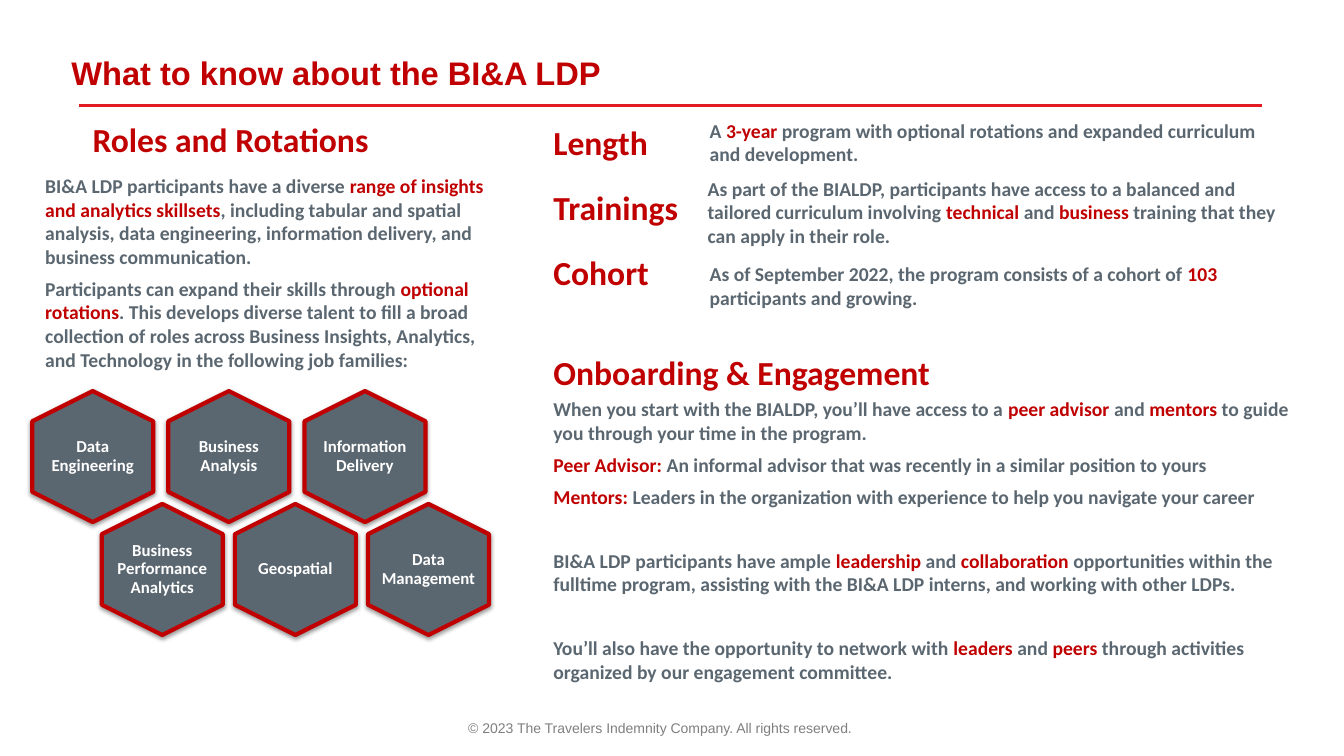
from lxml.etree import SubElement
from pptx import Presentation
from pptx.dml.color import RGBColor
from pptx.enum.shapes import MSO_CONNECTOR
from pptx.enum.text import MSO_ANCHOR, PP_ALIGN
from pptx.oxml.ns import qn
from pptx.util import Pt

PX = 9144
SLIDE = (1333, 750)
RULE = (78, 105, 1252, 105)

THEME = {
    "red": RGBColor(0xC0, 0x00, 0x00),
    "rule": RGBColor(0xE3, 0x1B, 0x23),
    "slate": RGBColor(0x5B, 0x67, 0x70),
    "white": RGBColor(0xFF, 0xFF, 0xFF),
    "grey": RGBColor(0x7F, 0x7F, 0x7F),
    "title": {"size": Pt(23.3), "name": "Arial", "bold": True},
    "heading": {"size": Pt(24), "name": "Calibri", "bold": True},
    "body": {"size": Pt(14), "name": "Calibri", "bold": True},
    "label": {"size": Pt(12), "name": "Calibri", "bold": True},
    "footer": {"size": Pt(10), "name": "Arial", "bold": False},
}
COLOR = {"title": "red", "heading": "red", "body": "slate", "label": "white", "footer": "grey"}
PARA_GAP, BLOCK_GAP = Pt(6), Pt(23)
TOP, BOTTOM = MSO_ANCHOR.TOP, MSO_ANCHOR.BOTTOM

ROLES = [[
    "BI&A LDP participants have a diverse *range of insights and analytics skillsets*, including "
    "tabular and spatial analysis, data engineering, information delivery, and business communication.",
    "Participants can expand their skills through *optional rotations*. This develops diverse talent "
    "to fill a broad collection of roles across Business Insights, Analytics, and Technology in the "
    "following job families:",
]]
ONBOARDING = [
    [
        "When you start with the BIALDP, you’ll have access to a *peer advisor *and *mentors* "
        "to guide you through your time in the program.",
        "*Peer Advisor: *An informal advisor that was recently in a similar position to yours",
        "*Mentors: *Leaders in the organization with experience to help you navigate your career",
    ],
    [
        "BI&A LDP participants have ample *leadership* and *collaboration* opportunities within the "
        "fulltime program, assisting with the BI&A LDP interns, and working with other LDPs.",
    ],
    [
        "You’ll also have the opportunity to network with *leaders* and *peers* through activities "
        "organized by our engagement committee.",
    ],
]
LENGTH = "A *3-year *program with optional rotations and expanded curriculum and development."
TRAININGS = (
    "As part of the BIALDP, participants have access to a balanced and tailored curriculum involving "
    "*technical *and *business* training that they can apply in their role."
)
COHORT = "As of September 2022, the program consists of a cohort of* 103* participants and growing."

TEXTS = [
    ("title", (61, 22, 1192, 74), BOTTOM, [["What to know about the BI&A LDP"]]),
    ("heading", (82, 123, 373, 40), BOTTOM, [["Roles and Rotations"]]),
    ("body", (35, 168, 468, 207), TOP, ROLES),
    ("heading", (539, 116, 120, 50), TOP, [["Length"]]),
    ("body", (694, 113, 585, 57), TOP, [[LENGTH]]),
    ("heading", (539, 192, 152, 38), BOTTOM, [["Trainings"]]),
    ("body", (692, 177, 598, 73), BOTTOM, [[TRAININGS]]),
    ("heading", (539, 245, 120, 50), TOP, [["Cohort"]]),
    ("body", (694, 255, 617, 57), TOP, [[COHORT]]),
    ("heading", (539, 351, 407, 43), BOTTOM, [["Onboarding & Engagement"]]),
    ("body", (539, 393, 751, 290), BOTTOM, ONBOARDING),
    ("footer", (380, 709, 549, 27), TOP, [["© 2023 The Travelers Indemnity Company. All rights reserved."]]),
]
HEX_W, HEX_H, HEX_CUT, HEX_INSET = 120, 130, 30, 10
HEX_ROWS = [
    (32, 388, 135, ["Data Engineering", "Business Analysis", "Information Delivery"]),
    (101, 500, 132, ["Business Performance Analytics", "Geospatial", "Data Management"]),
]


def apply(obj, values):
    for name, value in values.items():
        setattr(obj, name, value)


def write(p, text, style):
    for i, part in enumerate(text.split("*")):
        if part:
            r = p.add_run()
            r.text = part
            apply(r.font, THEME[style])
            r.font.color.rgb = THEME["red" if i % 2 else COLOR[style]]


def add_text(shapes, style, box, anchor, blocks):
    tf = shapes.add_textbox(*(v * PX for v in box)).text_frame
    apply(tf, {"word_wrap": True, "vertical_anchor": anchor})
    lines = [(text, b > 0 and i == 0) for b, block in enumerate(blocks) for i, text in enumerate(block)]
    for n, (text, opens_block) in enumerate(lines):
        p = tf.add_paragraph() if n else tf.paragraphs[0]
        if len(lines) > 1:
            p.space_after = PARA_GAP
        if opens_block:
            p.space_before = BLOCK_GAP
        if style == "footer":
            p.alignment = PP_ALIGN.CENTER
        write(p, text, style)


def add_shadow(sp):
    sp.shadow.inherit = False
    effects = sp.element.spPr.find(qn("a:effectLst"))
    shadow = SubElement(effects, qn("a:outerShdw"), blurRad=str(Pt(3.1)), dist=str(Pt(1.6)),
                        dir="5400000", rotWithShape="0")
    color = SubElement(shadow, qn("a:srgbClr"), val="000000")
    SubElement(color, qn("a:alpha"), val="38000")


def add_hexagon(shapes, x, y, text):
    middle, right, low, bottom = x + HEX_W // 2, x + HEX_W, y + HEX_H - HEX_CUT, y + HEX_H
    fb = shapes.build_freeform(middle, y, scale=PX)
    fb.add_line_segments([(right, y + HEX_CUT), (right, low), (middle, bottom), (x, low), (x, y + HEX_CUT)])
    sp = fb.convert_to_shape()
    sp.fill.solid()
    sp.fill.fore_color.rgb = THEME["slate"]
    sp.line.color.rgb = THEME["red"]
    sp.line.width = Pt(3)
    add_shadow(sp)
    tf = sp.text_frame
    apply(tf, {"word_wrap": True, "vertical_anchor": MSO_ANCHOR.MIDDLE,
               "margin_left": HEX_INSET * PX, "margin_right": HEX_INSET * PX})
    p = tf.paragraphs[0]
    apply(p, {"alignment": PP_ALIGN.CENTER, "line_spacing": 0.9})
    write(p, text, "label")


def main():
    prs = Presentation()
    prs.slide_width, prs.slide_height = (v * PX for v in SLIDE)
    s = prs.slides.add_slide(prs.slide_layouts[6])

    rule = s.shapes.add_connector(MSO_CONNECTOR.STRAIGHT, *(v * PX for v in RULE))
    rule.line.color.rgb = THEME["rule"]
    rule.line.width = Pt(2)
    SubElement(rule.element.spPr, qn("a:effectLst"))

    families = s.shapes.add_group_shape()
    for left, top, step, names in HEX_ROWS:
        for i, name in enumerate(names):
            add_hexagon(families.shapes, left + i * step, top, name)

    for style, box, anchor, blocks in TEXTS:
        add_text(s.shapes, style, box, anchor, blocks)

    prs.save("out.pptx")


if __name__ == "__main__":
    main()
